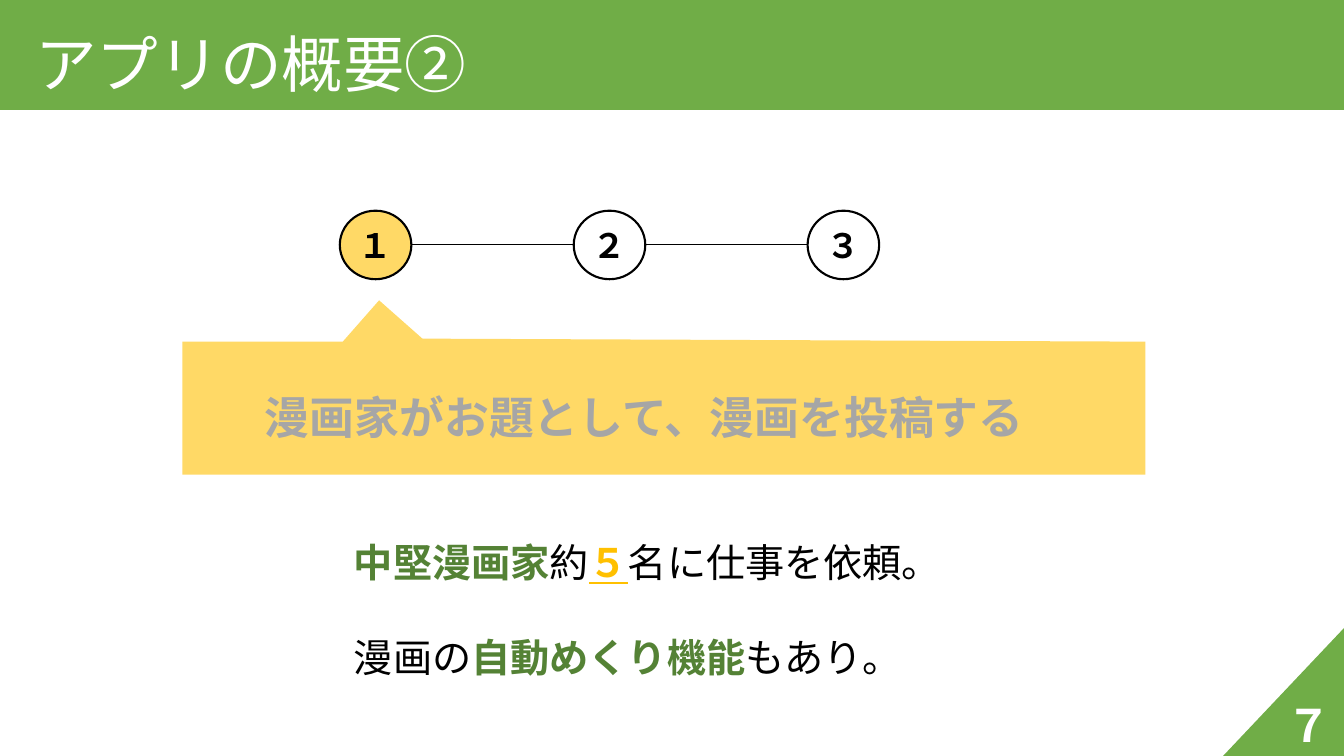
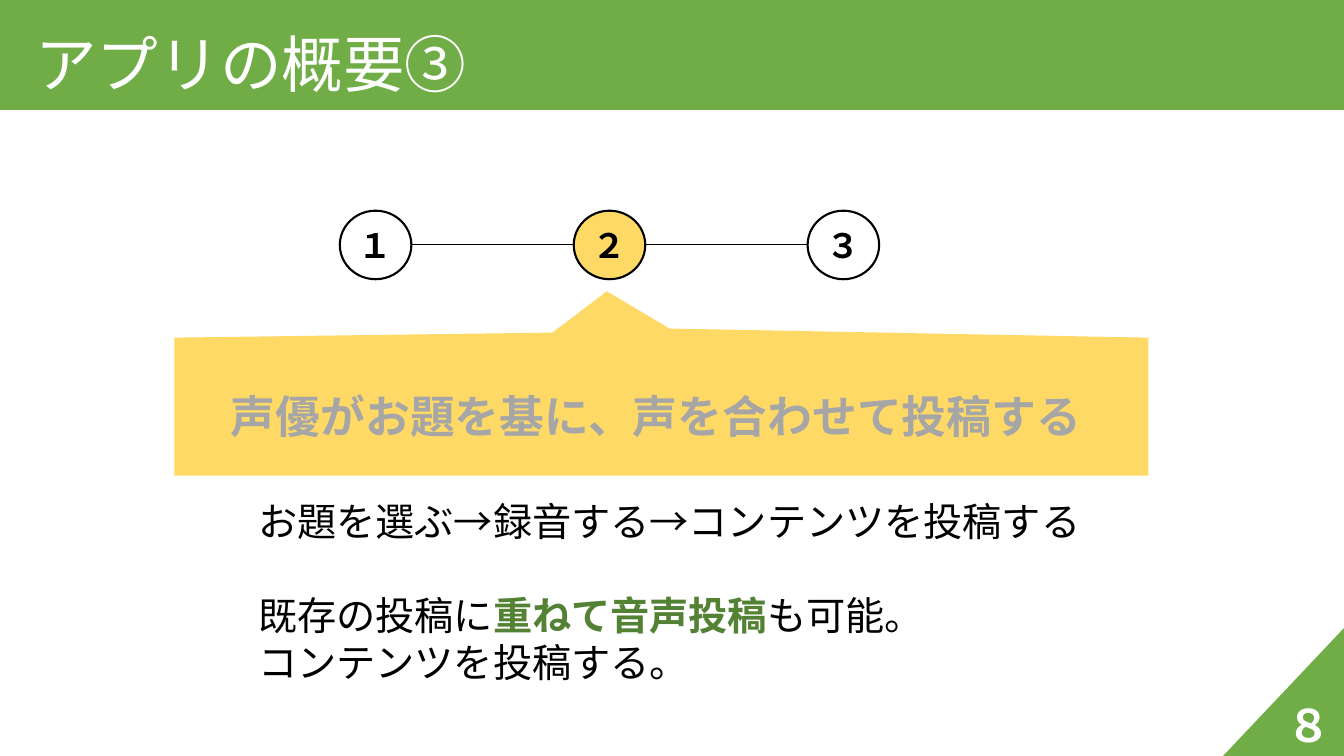
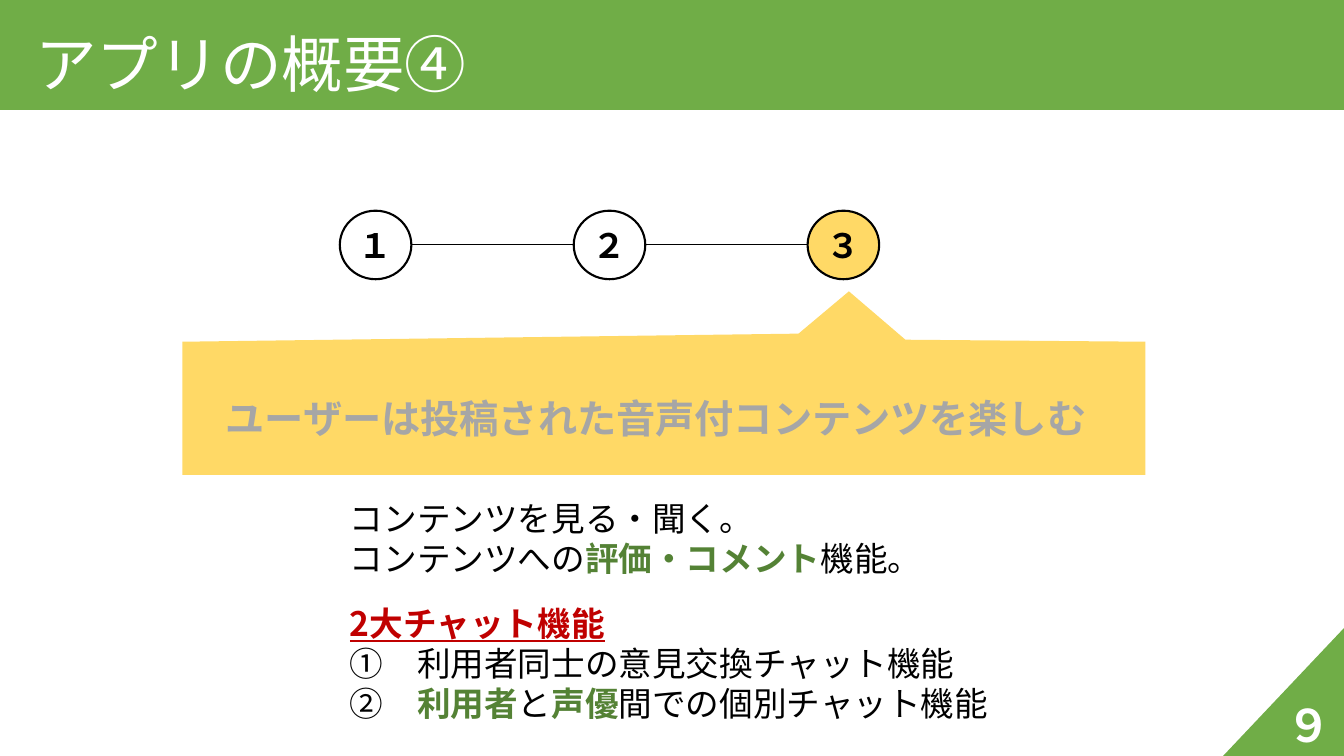
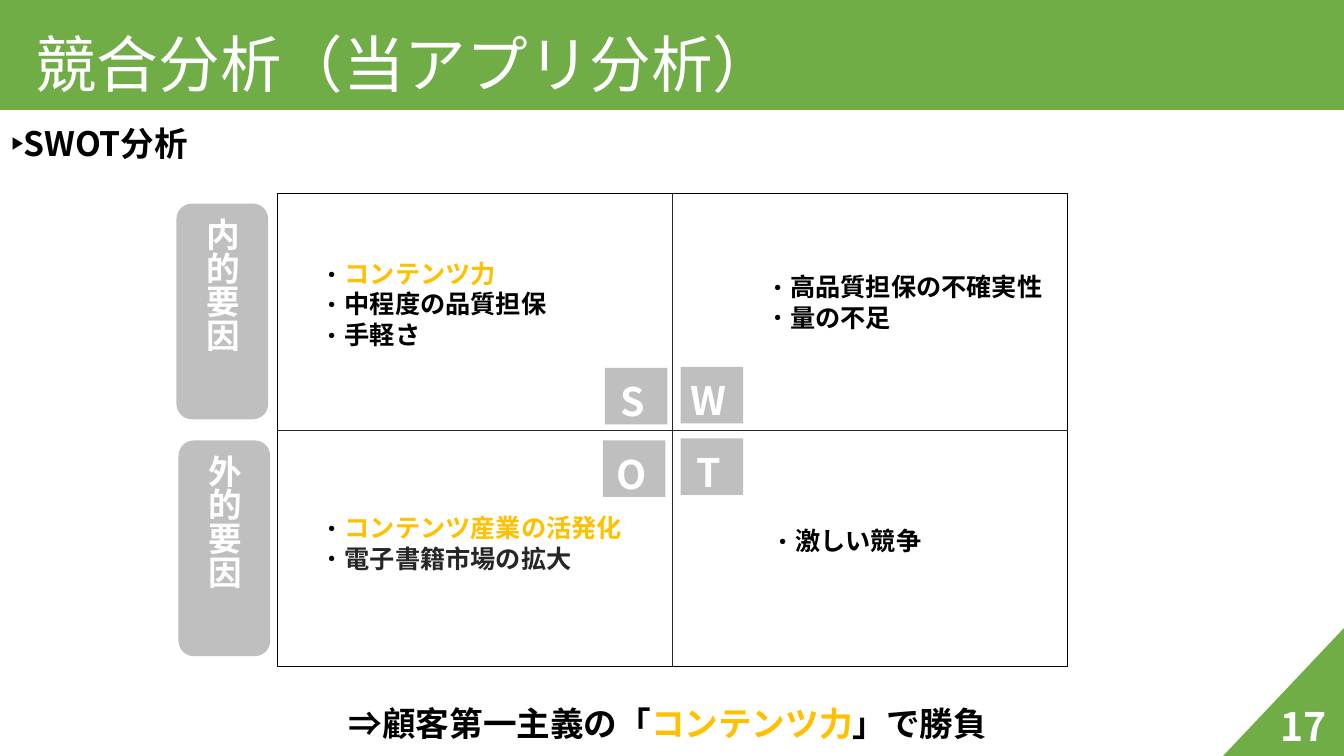
"""Build four slides on an app's three steps and its SWOT analysis."""
import lxml.etree
import pptx
import pptx.dml.color
import pptx.enum.shapes
import pptx.enum.text
import pptx.oxml.ns
import pptx.util

Inches = pptx.util.Inches
Pt = pptx.util.Pt
RGBColor = pptx.dml.color.RGBColor
MSO_SHAPE = pptx.enum.shapes.MSO_SHAPE
ANCHOR = pptx.enum.text.MSO_ANCHOR
ALIGN = pptx.enum.text.PP_ALIGN
qn = pptx.oxml.ns.qn

FONT = "Noto Sans CJK JP"
GREEN = RGBColor(0x70, 0xAD, 0x47)
DARK_GREEN = RGBColor(0x54, 0x82, 0x35)
YELLOW = RGBColor(0xFF, 0xD9, 0x66)
GOLD = RGBColor(0xFF, 0xC0, 0x00)
RED = RGBColor(0xC0, 0x00, 0x00)
WHITE = RGBColor(0xFF, 0xFF, 0xFF)
BLACK = RGBColor(0x00, 0x00, 0x00)
CHARCOAL = RGBColor(0x26, 0x26, 0x26)
GREY = RGBColor(0xA6, 0xA6, 0xA6)
LIGHT_GREY = RGBColor(0xBF, 0xBF, 0xBF)

STRONG = {"color": DARK_GREEN, "bold": True}
FIGURE = {"color": GOLD, "bold": True, "underline": True}
HEADING = {"color": RED, "bold": True, "underline": True}
HIGHLIGHT = {"color": GOLD, "bold": True}
SOFT = {"color": CHARCOAL, "bold": True}


def format_span(span, size, color=BLACK, bold=False, underline=False):
    """Give a run its size, colour, weight and typeface."""
    span.font.size = Pt(size)
    span.font.color.rgb = color
    span.font.bold = bold
    span.font.underline = underline
    span.font.name = FONT
    properties = span._r.get_or_add_rPr()
    east_asian = lxml.etree.SubElement(properties, qn("a:ea"))
    east_asian.set("typeface", FONT)


def set_frame(frame, insets=(0.1, 0.05, 0.1, 0.05), anchor=ANCHOR.MIDDLE):
    """Set the margins, wrapping and anchor of a text frame."""
    frame.word_wrap = True
    frame.auto_size = pptx.enum.text.MSO_AUTO_SIZE.NONE
    frame.vertical_anchor = anchor
    (frame.margin_left, frame.margin_top,
     frame.margin_right, frame.margin_bottom) = map(Inches, insets)


def write_line(frame, text, size, align=ALIGN.LEFT, **style):
    """Write one uniformly styled line."""
    frame.text = text
    para = frame.paragraphs[0]
    para.alignment = align
    format_span(para.runs[0], size, **style)


def write_spans(para, spans, size, bold=False):
    """Write plain strings and (text, style) pairs into a paragraph."""
    para.alignment = ALIGN.LEFT
    for item in spans:
        text, style = (item, {"bold": bold}) if isinstance(item, str) else item
        span = para.add_run()
        span.text = text
        format_span(span, size, **style)


def set_bullet(para, mark=None, hang=0.0):
    """Give a paragraph a hanging bullet, or none."""
    properties = para._p.get_or_add_pPr()
    properties.set("marL", str(Inches(hang)))
    properties.set("indent", str(-Inches(hang)))
    if mark is None:
        lxml.etree.SubElement(properties, qn("a:buNone"))
        return
    color = lxml.etree.SubElement(properties, qn("a:buClr"))
    lxml.etree.SubElement(color, qn("a:srgbClr")).set("val", str(BLACK))
    lxml.etree.SubElement(properties, qn("a:buFont")).set("typeface", FONT)
    lxml.etree.SubElement(properties, qn("a:buChar")).set("char", mark)


def write_list(frame, rows, size, gaps=None, mark=None, bold=False):
    """Write rows with even leading; gaps maps a row to points before it."""
    for index, spans in enumerate(rows):
        para = frame.paragraphs[0] if index == 0 else frame.add_paragraph()
        para.line_spacing = Pt(size * 1.2)
        para.space_before = Pt((gaps or {}).get(index, 0))
        set_bullet(para, mark, size / 72 if mark else 0)
        write_spans(para, spans, size, bold)


def place(shape, left, top, width, height):
    """Move and size a shape in inches."""
    shape.left, shape.top = Inches(left), Inches(top)
    shape.width, shape.height = Inches(width), Inches(height)


def add_box(page, area, insets=(0.1, 0.05, 0.1, 0.05)):
    """Add a text box and return its frame."""
    box = page.shapes.add_textbox(*map(Inches, area))
    set_frame(box.text_frame, insets)
    return box.text_frame


def paint(shape, fill=None, line=None, weight=1.0):
    """Fill and outline a shape, without shadow."""
    shape.shadow.inherit = False
    if fill is None:
        shape.fill.background()
    else:
        shape.fill.solid()
        shape.fill.fore_color.rgb = fill
    if line is None:
        shape.line.fill.background()
    else:
        shape.line.color.rgb = line
        shape.line.width = Pt(weight)


def add_shape(page, kind, area, **look):
    """Add a preset shape."""
    shape = page.shapes.add_shape(kind, *map(Inches, area))
    paint(shape, **look)
    return shape


def add_line(page, start, end, color, weight):
    """Add a straight line between two points."""
    line = page.shapes.add_connector(
        pptx.enum.shapes.MSO_CONNECTOR.STRAIGHT, *map(Inches, start + end))
    line.line.color.rgb = color
    line.line.width = Pt(weight)
    lxml.etree.SubElement(line._element.spPr, qn("a:effectLst"))


def add_page(deck, layout, title, number, number_area, number_size):
    """Add a page with its title band, corner and page number."""
    page = deck.slides.add_slide(deck.slide_layouts[layout])
    band = page.shapes.title
    place(band, 0, 0, 13.33, 1.09)
    band.fill.solid()
    band.fill.fore_color.rgb = GREEN
    set_frame(band.text_frame, (0.35, 0.2, 0.1, 0.05))
    write_line(band.text_frame, title, 44, color=WHITE)
    corner = add_shape(page, MSO_SHAPE.RIGHT_TRIANGLE,
                       (12.09, 6.26, 1.28, 1.21), fill=GREEN)
    corner.rotation = 270
    write_line(add_box(page, number_area), number, number_size,
               color=WHITE, bold=True)
    return page


def add_steps(page, active):
    """Add three linked step circles with the active one coloured."""
    left, top, width, height, pitch = 3.37, 2.09, 0.71, 0.68, 2.32
    middle = top + height / 2
    for index, digit in enumerate("１２３"):
        start = left + index * pitch
        circle = add_shape(
            page, MSO_SHAPE.FLOWCHART_CONNECTOR, (start, top, width, height),
            fill=YELLOW if index == active else WHITE, line=BLACK, weight=1.5)
        set_frame(circle.text_frame, (0, 0, 0, 0))
        write_line(circle.text_frame, digit, 24, ALIGN.CENTER, bold=True)
        if index:
            add_line(page, (start - pitch + width, middle), (start, middle),
                     BLACK, 0.75)


def add_callout(page, sides, pointer, text, text_area, size):
    """Add a banner whose pointer rises to a step."""
    left, top, right, bottom = sides
    outline = [(left, top), *pointer, (right, top), (right, bottom),
               (left, bottom)]
    points = [(Inches(x), Inches(y)) for x, y in outline]
    builder = page.shapes.build_freeform(*points[0], scale=1.0)
    builder.add_line_segments(points[1:], close=True)
    paint(builder.convert_to_shape(), fill=YELLOW)
    write_line(add_box(page, text_area), text, size, color=GREY, bold=True)


def add_step_page(deck, active, title, number, callout, body_area, rows, size,
                  gaps):
    """Add a page that explains one step."""
    page = add_page(deck, 1, title, number, (12.66, 6.87, 0.69, 0.64), 32)
    add_steps(page, active)
    add_callout(page, *callout)
    body = page.placeholders[1]
    place(body, *body_area)
    set_frame(body.text_frame, anchor=ANCHOR.TOP)
    write_list(body.text_frame, rows, size, gaps)


def add_swot_page(deck):
    """Add the SWOT grid with its labels, lists and conclusion."""
    page = add_page(deck, 5, "競合分析（当アプリ分析）", "17",
                    (12.6, 6.92, 0.77, 0.57), 28)
    left, top, width, height = 2.75, 1.92, 7.84, 4.69
    center, middle = left + width / 2, top + height / 2
    add_shape(page, MSO_SHAPE.RECTANGLE, (left, top, width, height), line=BLACK)
    add_line(page, (center, top), (center, top + height), CHARCOAL, 0.5)
    add_line(page, (left, middle), (left + width, middle), CHARCOAL, 0.5)

    for letter, x, y in (("S", 6, 3.65), ("W", 6.75, 3.64),
                         ("O", 5.98, 4.37), ("T", 6.75, 4.35)):
        tile = add_shape(page, MSO_SHAPE.RECTANGLE, (x, y, 0.62, 0.56),
                         fill=LIGHT_GREY)
        set_frame(tile.text_frame, (0, 0.1, 0.06, 0))
        write_line(tile.text_frame, letter, 28, ALIGN.CENTER,
                   color=WHITE, bold=True)

    for text, x, y in (("内的要因", 1.75, 2.02), ("外的要因", 1.77, 4.37)):
        label = add_shape(page, MSO_SHAPE.ROUNDED_RECTANGLE,
                          (x, y, 0.91, 2.14), fill=LIGHT_GREY)
        set_frame(label.text_frame)
        label.text_frame._txBody.bodyPr.set("vert", "eaVert")
        write_line(label.text_frame, text, 24, ALIGN.CENTER,
                   color=WHITE, bold=True)

    quadrants = (
        ((3.07, 2.51, 3.4, 1.01),
         [[("コンテンツ力", HIGHLIGHT)], ["中程度の品質担保"], ["手軽さ"]]),
        ((7.49, 2.64, 3.08, 0.71), [["高品質担保の不確実性"], ["量の不足"]]),
        ((3.07, 5.03, 3.4, 0.71),
         [[("コンテンツ産業の活発化", HIGHLIGHT)],
          [("電子書籍市場の拡大", SOFT)]]),
        ((7.54, 5.16, 3, 0.4), [["激しい競争"]]),
    )
    for area, rows in quadrants:
        write_list(add_box(page, area), rows, 18, mark="・", bold=True)

    write_line(add_box(page, (0.01, 1.17, 2.4, 0.5)), "‣SWOT分析", 24, bold=True)
    conclusion = add_box(page, (3.36, 6.92, 6.8, 0.5))
    write_spans(conclusion.paragraphs[0],
                ["⇒顧客第一主義の「", ("コンテンツ力", HIGHLIGHT), "」で勝負"],
                24, bold=True)


def main():
    """Build and save the deck."""
    deck = pptx.Presentation()
    deck.slide_width, deck.slide_height = Inches(13.33), Inches(7.5)
    add_step_page(
        deck, 0, "アプリの概要②", "７",
        ((1.81, 3.39, 11.36, 4.71), [(3.4, 3.39), (3.76, 2.98), (4.19, 3.36)],
         "漫画家がお題として、漫画を投稿する", (2.53, 3.81, 8.74, 0.64), 32),
        (3.41, 5.29, 8.79, 1.51),
        [[("中堅漫画家", STRONG), "約", ("５", FIGURE), "名に仕事を依頼。"],
         ["漫画の", ("自動めくり機能", STRONG), "もあり。"]],
        28, {1: 34})
    add_step_page(
        deck, 1, "アプリの概要③", "８",
        ((1.73, 3.35, 11.39, 4.72), [(5.48, 3.3), (6.02, 2.89), (6.64, 3.26)],
         "声優がお題を基に、声を合わせて投稿する", (2.19, 3.8, 9, 0.64), 32),
        (2.46, 4.88, 8.66, 1.99),
        [["お題を選ぶ→録音する→コンテンツを投稿する"],
         ["既存の投稿に", ("重ねて音声投稿", STRONG), "も可能。"],
         ["コンテンツを投稿する。"]],
        28, {1: 34})
    add_step_page(
        deck, 2, "アプリの概要④", "９",
        ((1.81, 3.39, 11.36, 4.71), [(7.92, 3.31), (8.42, 2.89), (8.98, 3.37)],
         "ユーザーは投稿された音声付コンテンツを楽しむ",
         (2.14, 3.86, 9.05, 0.57), 28),
        (3.37, 4.89, 9.74, 2.36),
        [["コンテンツを見る・聞く。"],
         ["コンテンツへの", ("評価・コメント", STRONG), "機能。"],
         [("2大チャット機能", HEADING)],
         ["①　利用者同士の意見交換チャット機能"],
         ["②　", ("利用者", STRONG), "と", ("声優", STRONG),
          "間での個別チャット機能"]],
        24, {2: 17})
    add_swot_page(deck)
    deck.save("out.pptx")


if __name__ == "__main__":
    main()
